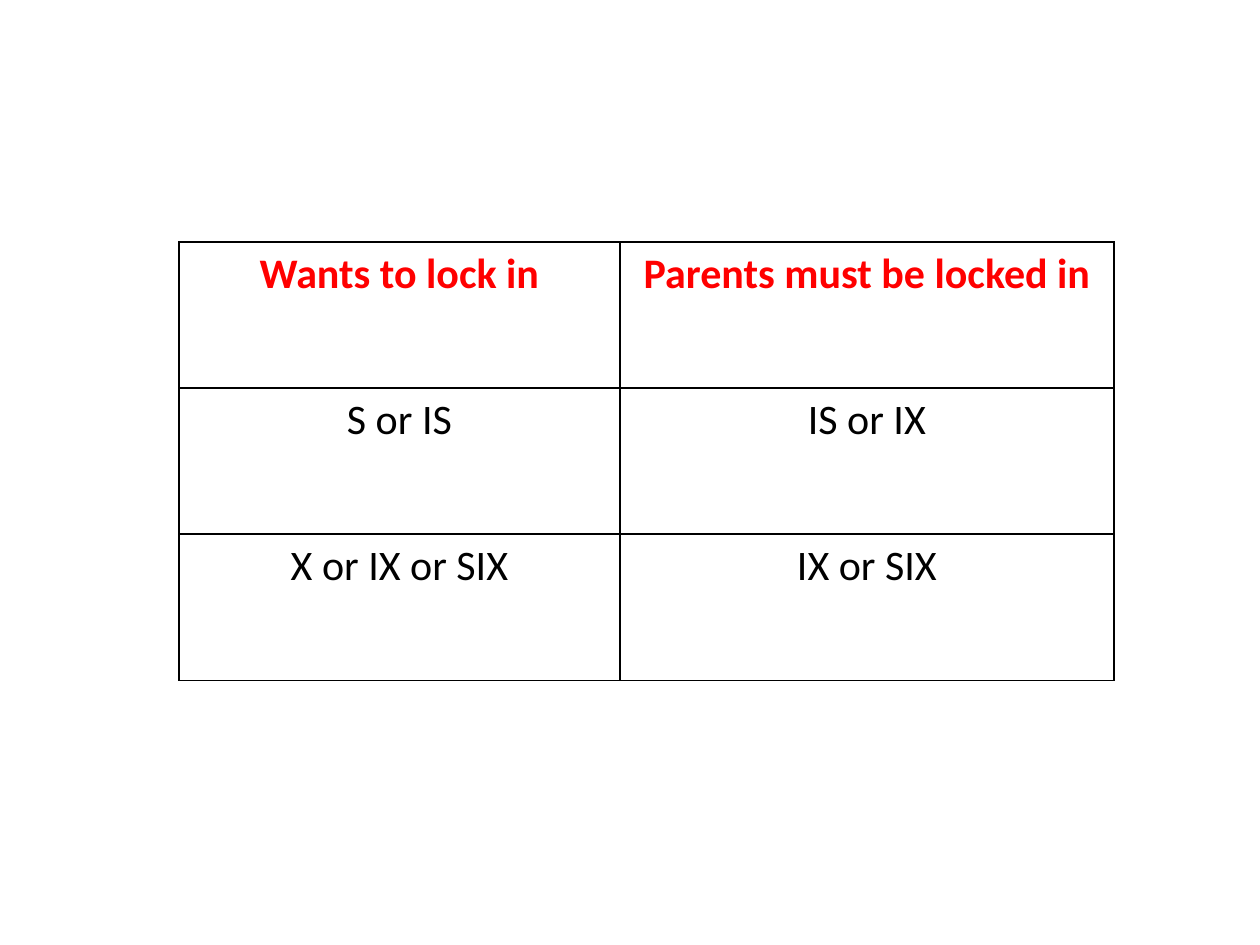
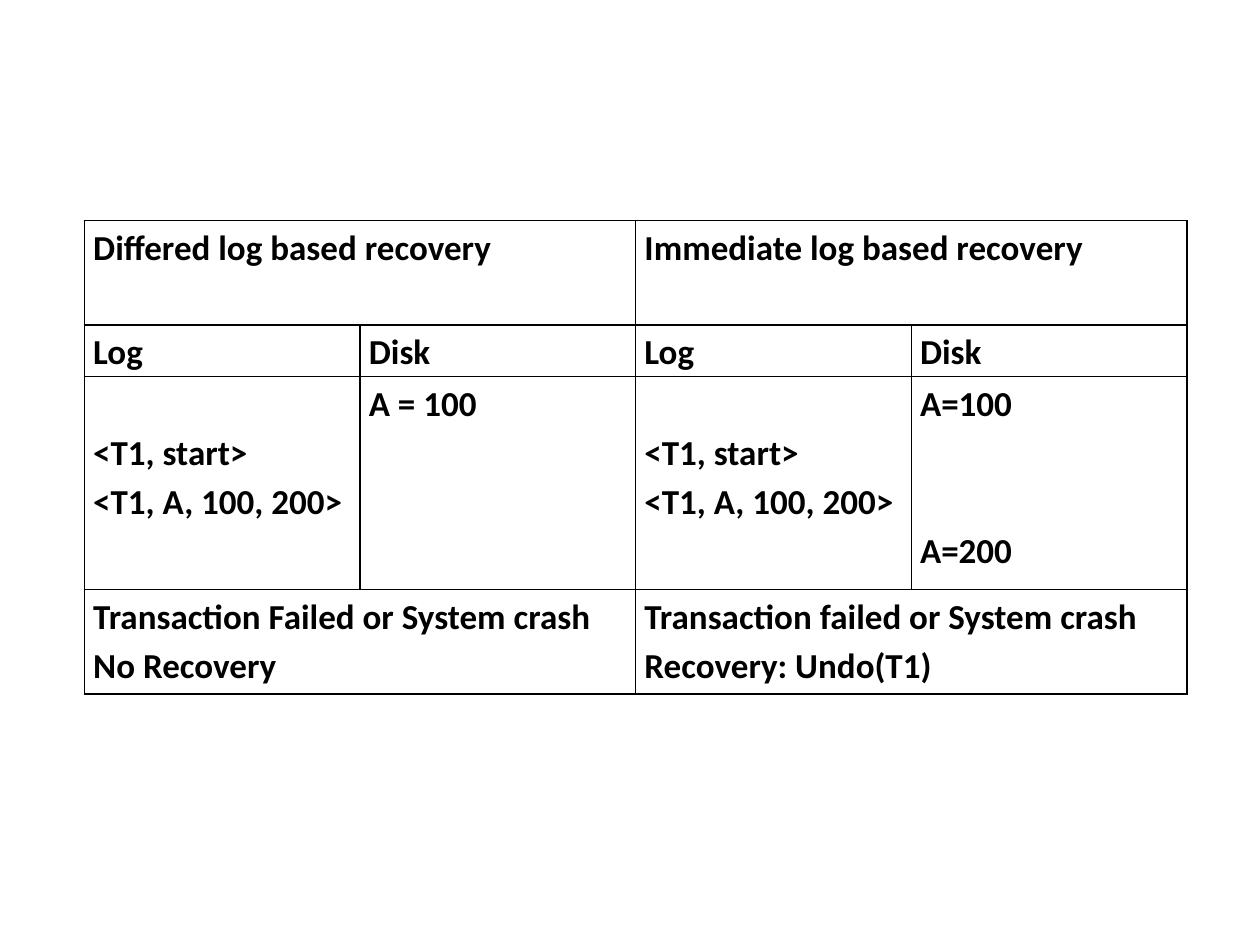
from dataclasses import dataclass
from typing import Optional

from lxml.etree import SubElement
from pptx import Presentation
from pptx.dml.color import RGBColor
from pptx.enum.text import PP_ALIGN
from pptx.oxml.ns import qn
from pptx.util import Inches, Pt


@dataclass(frozen=True)
class Theme:
    font: str = "Calibri"
    ink: str = "000000"
    accent: str = "FF0000"
    paper: str = "FFFFFF"
    large: int = 24
    small: int = 20
    rule: float = 1


@dataclass(frozen=True)
class Entry:
    lines: tuple[str, ...]
    bold: bool = True
    color: str = Theme.ink
    span: int = 1
    lead: int = 0
    gap: int = 0


@dataclass(frozen=True)
class Style:
    size: int
    align: Optional[PP_ALIGN] = None
    pitch: float = 1.0
    side: float = 0.1
    top: float = 0.05


@dataclass(frozen=True)
class Grid:
    left: float
    top: float
    cols: tuple[float, ...]
    rows: tuple[float, ...]
    style: Style
    cells: tuple[tuple[Entry, ...], ...]


THEME = Theme()
LINE = 1.22

LOCKS = Grid(
    1.42, 1.92, (3.5, 3.92), (1.16,) * 3,
    Style(THEME.large, PP_ALIGN.CENTER),
    (
        tuple(Entry((text,), color=THEME.accent)
              for text in ("Wants to lock in", "Parents must be locked in")),
        *(tuple(Entry((text,), bold=False) for text in pair)
          for pair in (("S or IS", "IS or IX"), ("X or IX or SIX", "IX or SIX"))),
    ),
)

LOG = Entry(("<T1, start>", "<T1, A, 100, 200>"), lead=1)
HEADS = (Entry(("Log",)), Entry(("Disk",)))

CRASH = Grid(
    0.67, 1.75, (8.75 / 4,) * 4, (0.83, 0.41, 1.69, 0.83),
    Style(THEME.small, pitch=1.15, side=0.07, top=0),
    (
        (Entry(("Differed log based recovery",), span=2),
         Entry(("Immediate log based recovery",), span=2)),
        HEADS * 2,
        (LOG, Entry(("A = 100",)), LOG, Entry(("A=100", "A=200"), gap=2)),
        (Entry(("Transaction Failed or System crash", "No Recovery"), span=2),
         Entry(("Transaction failed or System crash", "Recovery: Undo(T1)"), span=2)),
    ),
)


def frame_cell(cell) -> None:
    props = cell._tc.get_or_add_tcPr()
    for edge in ("lnL", "lnR", "lnT", "lnB"):
        line = SubElement(props, qn(f"a:{edge}"), w=str(Pt(THEME.rule)))
        fill = SubElement(line, qn("a:solidFill"))
        SubElement(fill, qn("a:srgbClr"), val=THEME.ink)
    cell.fill.solid()
    cell.fill.fore_color.rgb = RGBColor.from_string(THEME.paper)


def fill_cell(cell, entry: Entry, style: Style) -> None:
    step = style.size * LINE * style.pitch
    cell.margin_left = cell.margin_right = Inches(style.side)
    cell.margin_top = Inches(style.top) + Pt(step * entry.lead)
    cell.margin_bottom = Inches(style.top)
    cell.text_frame.text = "\n".join(entry.lines)
    for index, para in enumerate(cell.text_frame.paragraphs):
        para.alignment = style.align
        para.line_spacing = style.pitch
        if index and entry.gap:
            para.space_before = Pt(step * entry.gap)
        for run in para.runs:
            font = run.font
            font.name = THEME.font
            font.size = Pt(style.size)
            font.bold = entry.bold
            font.color.rgb = RGBColor.from_string(entry.color)


def draw_grid(slide, grid: Grid) -> None:
    table = slide.shapes.add_table(
        len(grid.rows), len(grid.cols), Inches(grid.left), Inches(grid.top),
        Inches(sum(grid.cols)), Inches(sum(grid.rows))).table
    table.first_row = table.horz_banding = False
    for col, width in zip(table.columns, grid.cols):
        col.width = Inches(width)
    for row, height in zip(table.rows, grid.rows):
        row.height = Inches(height)
    for cell in table.iter_cells():
        frame_cell(cell)
    for row, entries in enumerate(grid.cells):
        col = 0
        for entry in entries:
            cell = table.cell(row, col)
            if entry.span > 1:
                cell.merge(table.cell(row, col + entry.span - 1))
            fill_cell(cell, entry, grid.style)
            col += entry.span


def main() -> None:
    deck = Presentation()
    deck.slide_width, deck.slide_height = Inches(10), Inches(7.5)
    for grid in (LOCKS, CRASH):
        draw_grid(deck.slides.add_slide(deck.slide_layouts[6]), grid)
    deck.save("out.pptx")


if __name__ == "__main__":
    main()
